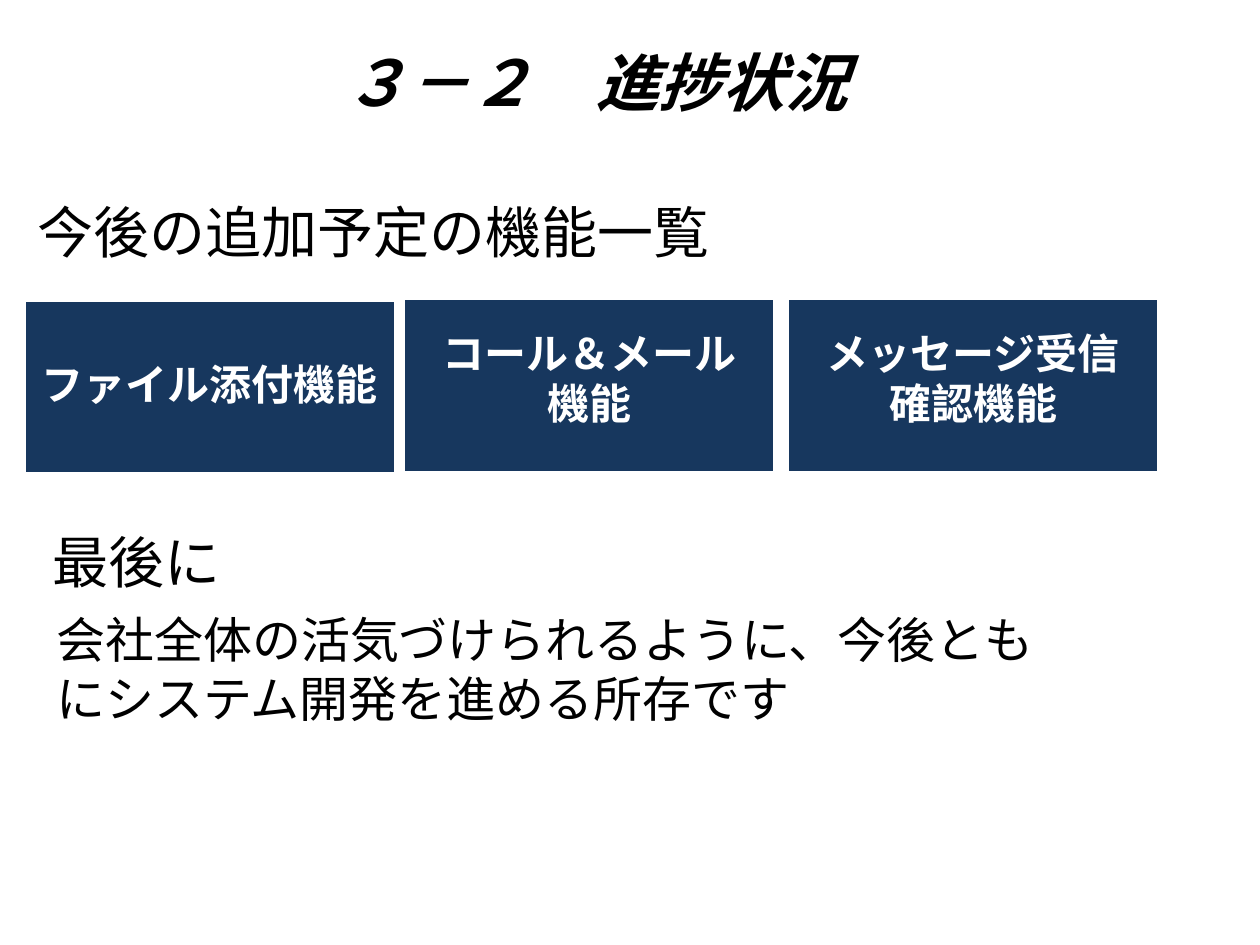
from dataclasses import dataclass

from pptx import Presentation
from pptx.dml.color import RGBColor
from pptx.enum.shapes import MSO_SHAPE as Preset
from pptx.enum.text import MSO_ANCHOR as Anchor, PP_ALIGN as Align
from pptx.slide import Slide
from pptx.text.text import TextFrame
from pptx.util import Emu, Inches, Pt

SLIDE_W, SLIDE_H = Inches(10), Inches(7.5)


@dataclass(frozen=True)
class Theme:
    ink: RGBColor = RGBColor(0x00, 0x00, 0x00)
    paper: RGBColor = RGBColor(0xFF, 0xFF, 0xFF)
    navy: RGBColor = RGBColor(0x17, 0x37, 0x5E)
    display_font: str = "Calibri"
    body_font: str = "Arial"
    title_size: Pt = Pt(36)
    heading_size: Pt = Pt(32)
    body_size: Pt = Pt(28)
    card_size: Pt = Pt(24)
    card_gap_after: Pt = Pt(8.4)
    card_border: Pt = Pt(2)


THEME = Theme()


@dataclass(frozen=True)
class Area:
    """A rectangle in percent of the slide's width and height."""
    left: float
    top: float
    width: float
    height: float

    def emu(self) -> tuple[Emu, Emu, Emu, Emu]:
        return (Emu(int(SLIDE_W * self.left / 100)), Emu(int(SLIDE_H * self.top / 100)),
                Emu(int(SLIDE_W * self.width / 100)), Emu(int(SLIDE_H * self.height / 100)))


@dataclass(frozen=True)
class Caption:
    text: str
    area: Area
    size: Pt
    font: str = THEME.body_font
    emphasis: bool = False
    align: Align = Align.LEFT
    anchor: Anchor = Anchor.TOP


@dataclass(frozen=True)
class Feature:
    lines: tuple[str, ...]
    left: float
    top: float
    line_spacing: float | Pt = Pt(20)


CARD_W, CARD_H = 29.5, 18.4

CAPTIONS = (
    Caption("３－２　進捗状況", Area(0, 2.8, 94.5, 11.6), THEME.title_size,
            THEME.display_font, True, Align.CENTER, Anchor.MIDDLE),
    Caption("今後の追加予定の機能一覧", Area(2, 20.27, 64.2, 8.53), THEME.heading_size),
    Caption("会社全体の活気づけられるように、今後ともにシステム開発を進める所存です",
            Area(3.5, 63.87, 81.9, 13.87), THEME.body_size),
    Caption("最後に", Area(3.2, 55.2, 64.2, 8.53), THEME.heading_size),
)

FEATURES = (
    Feature(("ファイル添付機能",), 1.9, 31.73, 0.9),
    Feature(("コール＆メール", "機能"), 32, 31.6),
    Feature(("メッセージ受信", "確認機能"), 62.5, 31.6),
)


def write_lines(frame: TextFrame, lines: tuple[str, ...], font: str, size: Pt,
                color: RGBColor, align: Align, bold: bool = False,
                italic: bool = False) -> None:
    frame.word_wrap = True
    for index, line in enumerate(lines):
        paragraph = frame.add_paragraph() if index else frame.paragraphs[0]
        paragraph.alignment = align
        run = paragraph.add_run()
        run.text = line
        run.font.name, run.font.size = font, size
        run.font.bold, run.font.italic = bold, italic
        run.font.color.rgb = color


def draw_caption(slide: Slide, caption: Caption) -> None:
    frame = slide.shapes.add_textbox(*caption.area.emu()).text_frame
    frame.vertical_anchor = caption.anchor
    write_lines(frame, (caption.text,), caption.font, caption.size, THEME.ink,
                caption.align, caption.emphasis, caption.emphasis)


def draw_feature(slide: Slide, feature: Feature) -> None:
    area = Area(feature.left, feature.top, CARD_W, CARD_H)
    card = slide.shapes.add_shape(Preset.RECTANGLE, *area.emu())
    card.shadow.inherit = False
    card.fill.solid()
    card.fill.fore_color.rgb = THEME.navy
    card.line.color.rgb = THEME.paper
    card.line.width = THEME.card_border

    frame = card.text_frame
    frame.vertical_anchor = Anchor.MIDDLE
    frame.margin_left = frame.margin_right = Inches(0.1)
    frame.margin_top = frame.margin_bottom = Inches(0.1)
    write_lines(frame, feature.lines, THEME.display_font, THEME.card_size,
                THEME.paper, Align.CENTER, bold=True)
    for paragraph in frame.paragraphs:
        paragraph.line_spacing = feature.line_spacing
        paragraph.space_after = THEME.card_gap_after


def main() -> None:
    deck = Presentation()
    deck.slide_width, deck.slide_height = SLIDE_W, SLIDE_H
    slide = deck.slides.add_slide(deck.slide_layouts[6])

    # Title and section heading
    for caption in CAPTIONS[:2]:
        draw_caption(slide, caption)

    # Planned features
    for feature in FEATURES:
        draw_feature(slide, feature)

    # Closing words
    for caption in CAPTIONS[2:]:
        draw_caption(slide, caption)

    deck.save("out.pptx")


if __name__ == "__main__":
    main()
